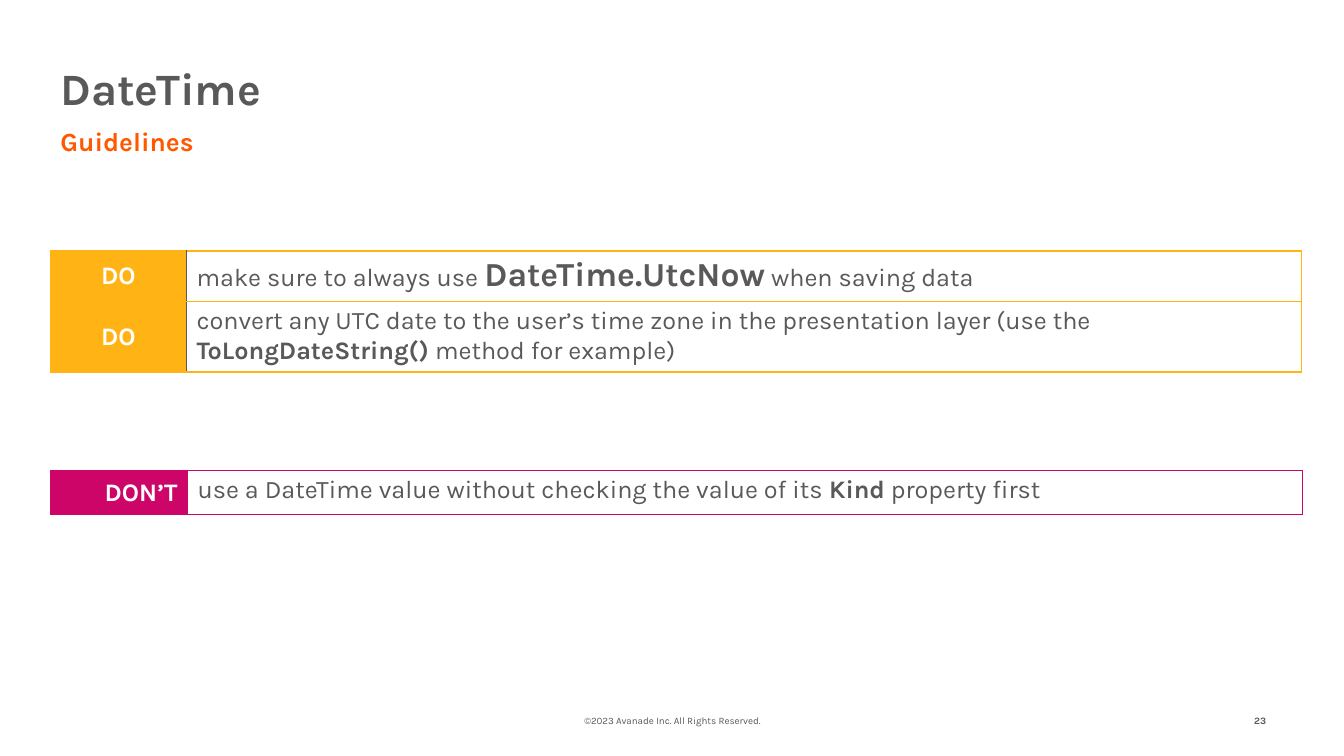
import pptx
import pptx.dml.color
import pptx.enum.text
import pptx.oxml
import pptx.oxml.ns
import pptx.util

RGBColor = pptx.dml.color.RGBColor
ALIGN = pptx.enum.text.PP_ALIGN
ANCHOR = pptx.enum.text.MSO_ANCHOR

GREY = RGBColor(0x59, 0x59, 0x59)
ORANGE = RGBColor(0xFF, 0x58, 0x00)
AMBER = RGBColor(0xFF, 0xB3, 0x14)
MAGENTA = RGBColor(0xCE, 0x05, 0x69)
WHITE = RGBColor(0xFF, 0xFF, 0xFF)

FONT = "Karla"
BODY_SIZE = 18
MARGIN = 1  # grid steps
CONTENT_WIDTH = 24.5


def grid(steps):
    """Length of a number of half-inch grid steps."""
    return pptx.util.Inches(steps * 0.5)


def add_span(para, text, size, color, bold=False):
    span = para.add_run()
    span.text = text
    span.font.name = FONT
    span.font.size = pptx.util.Pt(size)
    span.font.color.rgb = color
    span.font.bold = bold


def add_label(page, text, place, size, color, bold=False,
              align=ALIGN.LEFT, anchor=ANCHOR.TOP, inset=0.1):
    """Add one line of text; place is left, top, width, height in grid steps."""
    box = page.shapes.add_textbox(*map(grid, place))
    frame = box.text_frame
    frame.word_wrap = True
    frame.vertical_anchor = anchor
    frame.margin_top = grid(inset)
    para = frame.paragraphs[0]
    para.alignment = align
    add_span(para, text, size, color, bold)


def set_borders(cell, left, right, top, bottom):
    properties = cell._tc.get_or_add_tcPr()
    sides = {"lnL": left, "lnR": right, "lnT": top, "lnB": bottom}
    for position, (side, color) in enumerate(sides.items()):
        line = pptx.oxml.parse_xml(
            f'<a:{side} {pptx.oxml.ns.nsdecls("a")} w="12700">'
            f'<a:solidFill><a:srgbClr val="{color}"/></a:solidFill></a:{side}>')
        properties.insert(position, line)


def add_rules(page, top, columns, rows, verb, rules, color, divider, verb_align):
    """Add a table of guidelines, each a verb beside (text, size, bold) spans."""
    frame = page.shapes.add_table(len(rules), 2, grid(MARGIN), grid(top),
                                  grid(sum(columns)), grid(sum(rows)))
    table = frame.table
    table.first_row = False
    table.horz_banding = False
    for column, width in zip(table.columns, columns):
        column.width = grid(width)
    for row, height, rule in zip(table.rows, rows, rules):
        row.height = grid(height)
        verb_cell, rule_cell = row.cells

        verb_cell.fill.solid()
        verb_cell.fill.fore_color.rgb = color
        verb_cell.vertical_anchor = ANCHOR.MIDDLE
        verb_para = verb_cell.text_frame.paragraphs[0]
        verb_para.alignment = verb_align
        add_span(verb_para, verb, BODY_SIZE, WHITE, True)
        set_borders(verb_cell, color, divider, color, color)

        rule_cell.fill.background()
        rule_para = rule_cell.text_frame.paragraphs[0]
        for text, size, bold in rule:
            add_span(rule_para, text, size, GREY, bold)
        set_borders(rule_cell, divider, color, color, color)


def main():
    deck = pptx.Presentation()
    deck.slide_width = pptx.util.Inches(13.33)
    deck.slide_height = pptx.util.Inches(7.5)
    page = deck.slides.add_slide(deck.slide_layouts[6])

    add_label(page, "DateTime", (MARGIN, 1, CONTENT_WIDTH, 1.32), 32, GREY, True,
              inset=0.2)
    add_label(page, "Guidelines", (MARGIN, 2.32, CONTENT_WIDTH, 0.84), 18.7, ORANGE,
              True, inset=0.16)

    do_rules = [
        [("make sure to always use ", BODY_SIZE, False),
         ("DateTime.UtcNow", 24, True),
         (" when saving data", BODY_SIZE, False)],
        [("convert any UTC date to the user’s time zone in the presentation layer "
          "(use the ", BODY_SIZE, False),
         ("ToLongDateString()", BODY_SIZE, True),
         (" method for example)", BODY_SIZE, False)],
    ]
    dont_rules = [
        [("use a DateTime value without checking the value of its ", BODY_SIZE, False),
         ("Kind", BODY_SIZE, True),
         (" property first", BODY_SIZE, False)],
    ]
    add_rules(page, 4.98, (2.7, 22.12), (0.98, 1.38), "DO", do_rules,
              AMBER, GREY, ALIGN.CENTER)
    add_rules(page, 9.34, (2.72, 22.12), (0.87,), "DON’T", dont_rules,
              MAGENTA, MAGENTA, ALIGN.RIGHT)

    add_label(page, "©2023 Avanade Inc. All Rights Reserved.", (8.84, 13.9, 9, 0.8),
              7, GREY, align=ALIGN.CENTER, anchor=ANCHOR.MIDDLE)
    add_label(page, "23", (24.68, 13.9, 0.82, 0.8), 7, GREY, True,
              anchor=ANCHOR.MIDDLE)

    deck.save("out.pptx")


if __name__ == "__main__":
    main()
